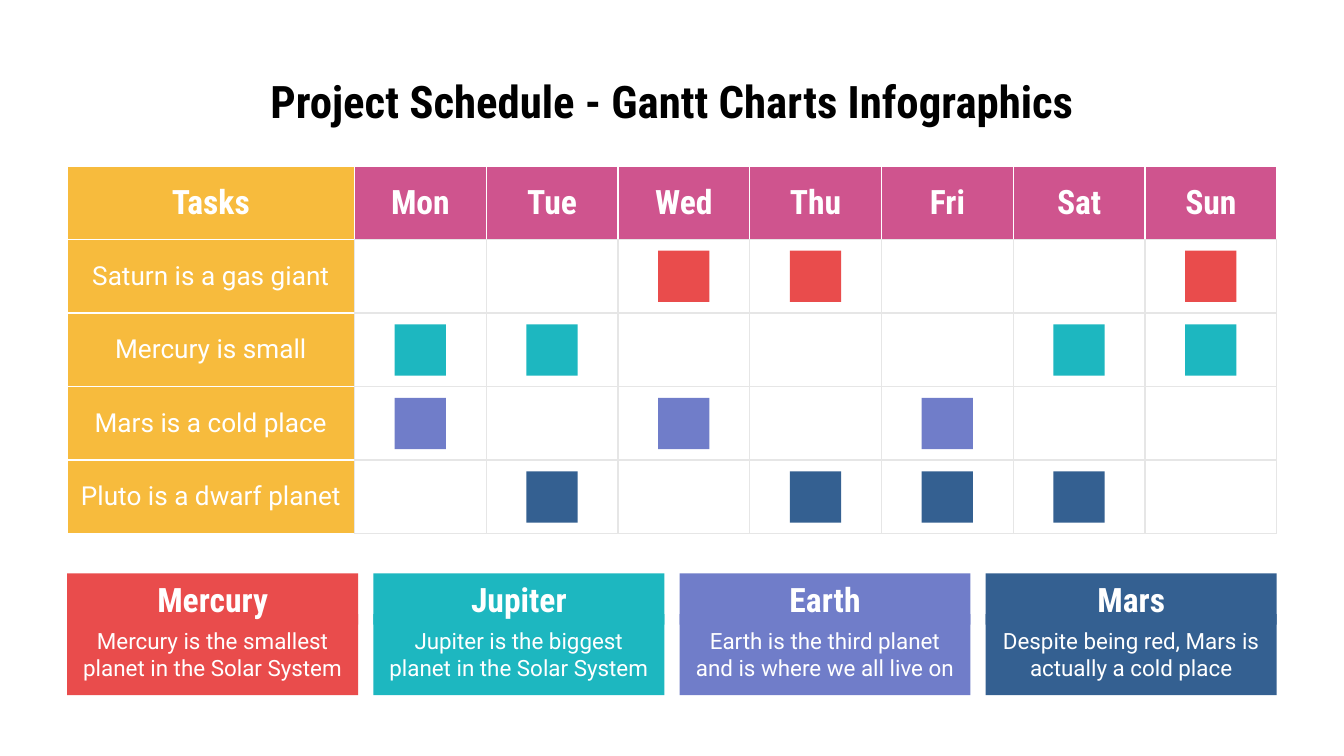
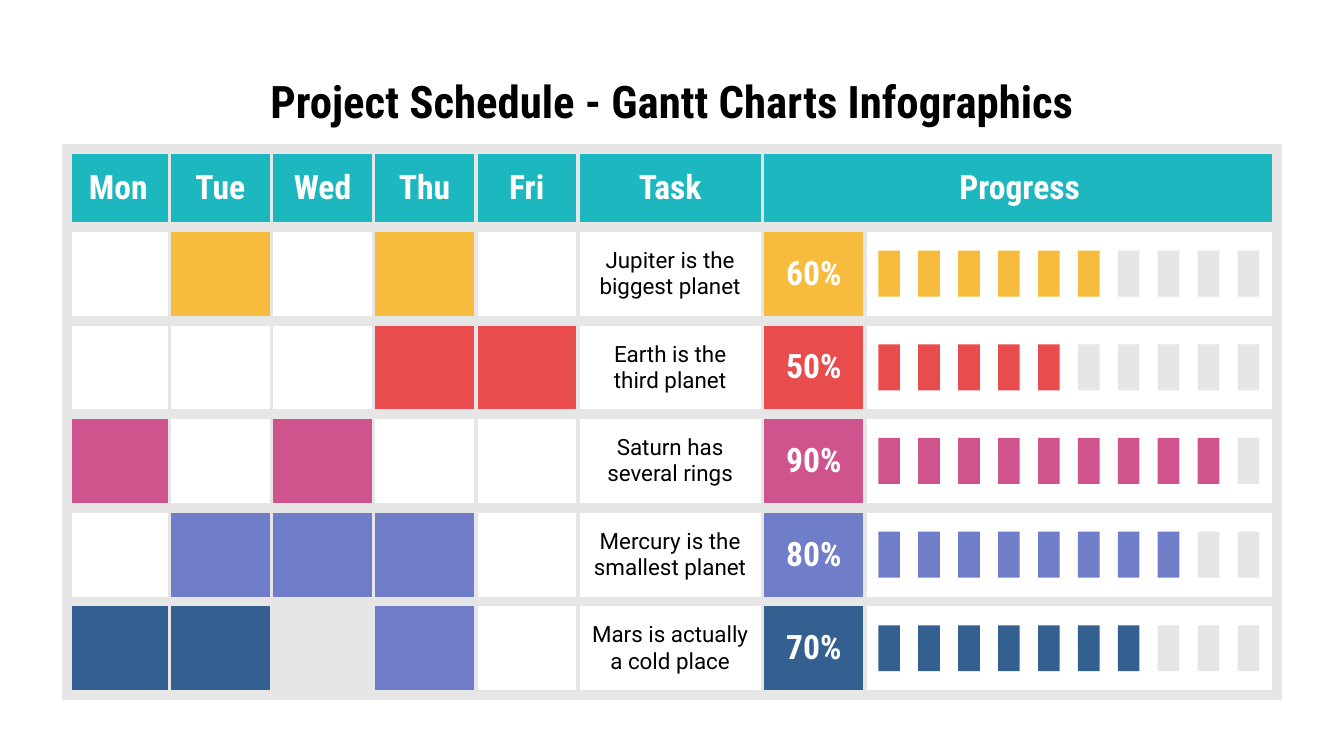
from dataclasses import dataclass

from lxml import etree
from pptx import Presentation
from pptx.dml.color import RGBColor
from pptx.enum.shapes import MSO_SHAPE
from pptx.enum.text import MSO_ANCHOR, PP_ALIGN
from pptx.oxml.ns import qn
from pptx.util import Cm, Pt

RECTANGLE = MSO_SHAPE.RECTANGLE
TOP, MIDDLE = MSO_ANCHOR.TOP, MSO_ANCHOR.MIDDLE
CENTER = PP_ALIGN.CENTER


@dataclass(frozen=True)
class Theme:
    heading_font: str = "Roboto Condensed"
    body_font: str = "Roboto"
    title_size: int = 24
    heading_size: int = 18
    task_size: int = 14
    note_size: int = 12
    black: str = "000000"
    white: str = "FFFFFF"
    gray: str = "E6E6E6"
    yellow: str = "F7BB3D"
    pink: str = "CF548E"
    red: str = "E94C4C"
    teal: str = "1DB7C0"
    violet: str = "707DC9"
    navy: str = "346091"


THEME = Theme()
LEFT, WIDTH, INSET = 1.27, 22.86, 0.25
DAYS = ["Mon", "Tue", "Wed", "Thu", "Fri", "Sat", "Sun"]


def write(frame, text, size, color, font=THEME.heading_font):
    """Put one centred run in the frame; the heading font is always bold."""
    paragraph = frame.paragraphs[0]
    paragraph.alignment = CENTER
    run = paragraph.add_run()
    run.text = text
    run.font.name = font
    run.font.size = Pt(size)
    run.font.bold = font == THEME.heading_font
    run.font.color.rgb = RGBColor.from_string(color)


def style_cell(cell, fill, *borders):
    """Set fill (None for clear) and (colour, points) borders: left, right, top, bottom."""
    cell.vertical_anchor = MIDDLE
    cell.margin_left = cell.margin_right = Cm(INSET)
    cell.margin_top = cell.margin_bottom = Cm(INSET)
    if fill:
        cell.fill.solid()
        cell.fill.fore_color.rgb = RGBColor.from_string(fill)
    else:
        cell.fill.background()
    properties = cell._tc.get_or_add_tcPr()
    for index, (side, (color, points)) in enumerate(zip("LRTB", borders)):
        line = etree.Element(qn(f"a:ln{side}"), w=str(Pt(points)))
        solid = etree.SubElement(line, qn("a:solidFill"))
        etree.SubElement(solid, qn("a:srgbClr"), val=color)
        properties.insert(index, line)


prs = Presentation()
prs.slide_width, prs.slide_height = Cm(25.4), Cm(14.29)
week_slide, progress_slide = [prs.slides.add_slide(prs.slide_layouts[6]) for _ in range(2)]

for slide in (week_slide, progress_slide):
    title = slide.shapes.add_textbox(Cm(LEFT), Cm(1.14), Cm(WIDTH), Cm(1.6)).text_frame
    title.word_wrap = True
    title.margin_top = Cm(INSET)
    write(title, "Project Schedule - Gantt Charts Infographics", THEME.title_size, THEME.black)

# Every rectangle: slide, left, top, width, height, colour, anchor, then text, size and font
blocks = []

# Slide 1: week plan
WEEK_TOP, WEEK_ROW = 3.14, 1.39
TASK_WIDTH, DAY_WIDTH, MARK = 5.43, 2.49, 0.97
week_tasks = [
    ("Saturn is a gas giant", THEME.red, ["Wed", "Thu", "Sun"]),
    ("Mercury is small", THEME.teal, ["Mon", "Tue", "Sat", "Sun"]),
    ("Mars is a cold place", THEME.violet, ["Mon", "Wed", "Fri"]),
    ("Pluto is a dwarf planet", THEME.navy, ["Tue", "Thu", "Fri", "Sat"]),
]
week = week_slide.shapes.add_table(
    len(week_tasks) + 1, len(DAYS) + 1, Cm(LEFT), Cm(WEEK_TOP), Cm(WIDTH), Cm(5 * WEEK_ROW)
).table
week.first_row = week.horz_banding = False
for row in week.rows:
    row.height = Cm(WEEK_ROW)
for column, width in zip(week.columns, [TASK_WIDTH] + [DAY_WIDTH] * len(DAYS)):
    column.width = Cm(width)

white_edge, gray_edge = (THEME.white, 0.75), (THEME.gray, 0.75)
for column, label in enumerate(["Tasks"] + DAYS):
    cell = week.cell(0, column)
    fill, bottom = (THEME.pink, gray_edge) if column else (THEME.yellow, white_edge)
    style_cell(cell, fill, white_edge, white_edge, white_edge, bottom)
    write(cell.text_frame, label, THEME.heading_size, THEME.white)

for row, (task, color, active_days) in enumerate(week_tasks, start=1):
    cell = week.cell(row, 0)
    style_cell(cell, THEME.yellow, white_edge, gray_edge, white_edge, white_edge)
    write(cell.text_frame, task, THEME.task_size, THEME.white, THEME.body_font)
    for column, day in enumerate(DAYS):
        top_edge = gray_edge
        style_cell(week.cell(row, column + 1), None, gray_edge, gray_edge, top_edge, gray_edge)
        if day in active_days:
            mark_left = LEFT + TASK_WIDTH + column * DAY_WIDTH + (DAY_WIDTH - MARK) / 2
            mark_top = WEEK_TOP + row * WEEK_ROW + (WEEK_ROW - MARK) / 2
            blocks.append((week_slide, mark_left, mark_top, MARK, MARK, color, MIDDLE))

planets = [
    ("Mercury", "Mercury is the smallest planet in the Solar System", THEME.red),
    ("Jupiter", "Jupiter is the biggest planet in the Solar System", THEME.teal),
    ("Earth", "Earth is the third planet and is where we all live on", THEME.violet),
    ("Mars", "Despite being red, Mars is actually a cold place", THEME.navy),
]
CARD_WIDTH = 5.5
card_step = (WIDTH - CARD_WIDTH) / (len(planets) - 1)
for index, (planet, fact, color) in enumerate(planets):
    card_left = LEFT + index * card_step
    blocks.append((week_slide, card_left, 11.61, CARD_WIDTH, 1.53, color, TOP,
                   fact, THEME.note_size, THEME.body_font))
    blocks.append((week_slide, card_left, 10.84, CARD_WIDTH, 0.97, color, MIDDLE,
                   planet, THEME.heading_size, THEME.heading_font))

# Slide 2: progress table
PROGRESS_TOP, HEADER_ROW, PROGRESS_ROW = 2.82, 1.47, 1.77
TICKS, TICK_LEFT, TICK_WIDTH, TICK_HEIGHT = 10, 16.6, 0.41, 0.87
tick_step = 6.79 / (TICKS - 1)
headers = DAYS[:5] + ["Task", "Progress"]
progress_tasks = [
    ("Jupiter is the biggest planet", 6, THEME.yellow, ["Tue", "Thu"]),
    ("Earth is the third planet", 5, THEME.red, ["Thu", "Fri"]),
    ("Saturn has several rings", 9, THEME.pink, ["Mon", "Wed"]),
    ("Mercury is the smallest planet", 8, THEME.violet, ["Tue", "Wed", "Thu"]),
    ("Mars is actually a cold place", 7, THEME.navy, ["Mon", "Tue"]),
]
special_days = {("Wed", THEME.navy): THEME.gray, ("Thu", THEME.navy): THEME.violet}
row_heights = [HEADER_ROW] + [PROGRESS_ROW] * len(progress_tasks)
column_widths = [1.93] * 5 + [3.49, 1.94, 7.78]
progress = progress_slide.shapes.add_table(
    len(row_heights), len(column_widths),
    Cm(LEFT), Cm(PROGRESS_TOP), Cm(WIDTH), Cm(sum(row_heights))
).table
progress.first_row = progress.horz_banding = False
for row, height in zip(progress.rows, row_heights):
    row.height = Cm(height)
for column, width in zip(progress.columns, column_widths):
    column.width = Cm(width)

fills = [[THEME.teal] * len(column_widths)]
for task, done, color, active_days in progress_tasks:
    day_fills = [color if day in active_days else special_days.get((day, color), THEME.white)
                 for day in DAYS[:5]]
    fills.append(day_fills + [THEME.white, color, None])

thick, thin = (THEME.gray, 6), (THEME.gray, 2.25)
last = len(column_widths) - 1
for row, row_fills in enumerate(fills):
    for column, fill in enumerate(row_fills):
        left_edge = thick if column == 0 else thin
        right_edge = thick if column == last or (row == 0 and column == last - 1) else thin
        style_cell(progress.cell(row, column), fill, left_edge, right_edge, thick, thick)

progress.cell(0, last - 1).merge(progress.cell(0, last))
for column, label in enumerate(headers):
    write(progress.cell(0, column).text_frame, label, THEME.heading_size, THEME.white)

for row, (task, done, color, _) in enumerate(progress_tasks, start=1):
    write(progress.cell(row, 5).text_frame, task, THEME.note_size, THEME.black, THEME.body_font)
    write(progress.cell(row, 6).text_frame, f"{done * 10}%", THEME.heading_size, THEME.white)
    tick_top = (PROGRESS_TOP + HEADER_ROW + (row - 1) * PROGRESS_ROW
                + (PROGRESS_ROW - TICK_HEIGHT) / 2)
    for tick in range(TICKS):
        tick_color = color if tick < done else THEME.gray
        blocks.append((progress_slide, TICK_LEFT + tick * tick_step, tick_top,
                       TICK_WIDTH, TICK_HEIGHT, tick_color, MIDDLE))

for slide, left, top, width, height, color, anchor, *label in blocks:
    block = slide.shapes.add_shape(RECTANGLE, Cm(left), Cm(top), Cm(width), Cm(height))
    block.shadow.inherit = False
    block.fill.solid()
    block.fill.fore_color.rgb = RGBColor.from_string(color)
    block.line.fill.background()
    if label:
        text, size, font = label
        frame = block.text_frame
        frame.word_wrap = True
        frame.vertical_anchor = anchor
        frame.margin_left = frame.margin_right = Cm(INSET)
        frame.margin_top = frame.margin_bottom = Cm(INSET)
        write(frame, text, size, THEME.white, font)

prs.save("out.pptx")
